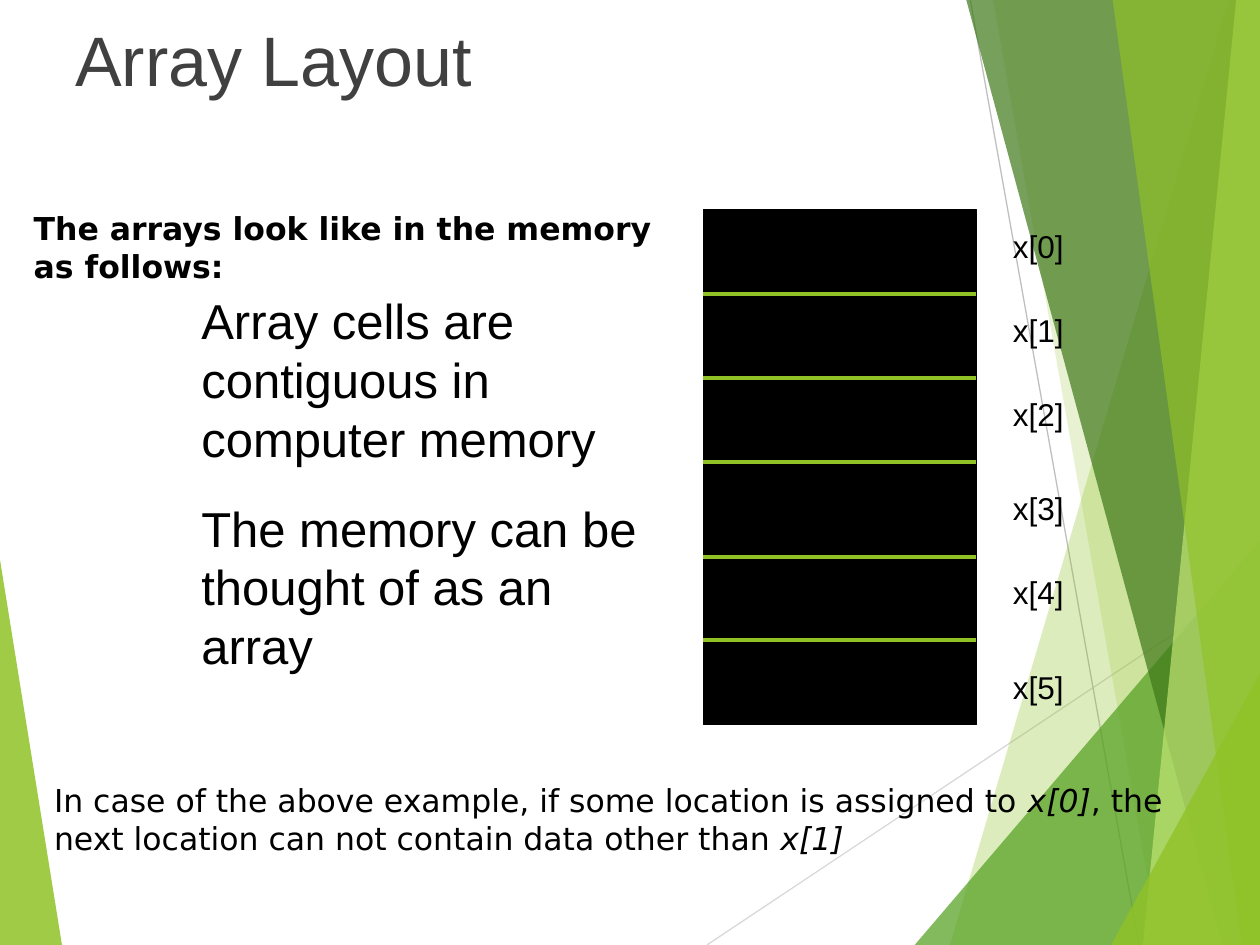
from lxml import etree
from pptx import Presentation
from pptx import util as u
from pptx.dml import color
from pptx.enum import shapes, text
from pptx.oxml import ns

WIDTH, HEIGHT = 25.4, 19.05
GREEN = "90C226"


def rgb(code):
    return color.RGBColor.from_string(code)


def add_run(paragraph, words, *, size=18, font="Arial", ink="000000", bold=False, italic=False):
    run = paragraph.add_run()
    run.text = words
    run.font.size, run.font.name = u.Pt(size), font
    run.font.bold, run.font.italic = bold, italic
    run.font.color.rgb = rgb(ink)


class Deck:
    """Hold the style and the current slide, and draw each kind of element."""

    def __init__(self):
        self.show = Presentation()
        self.show.slide_width, self.show.slide_height = u.Cm(WIDTH), u.Cm(HEIGHT)
        self.slide = self.show.slides.add_slide(self.show.slide_layouts[6])

    def facet(self, corners, fill, opacity):
        points = [(u.Cm(x), u.Cm(y)) for x, y in corners]
        builder = self.slide.shapes.build_freeform(*points[0])
        builder.add_line_segments(points[1:], close=True)
        facet = builder.convert_to_shape()
        facet.shadow.inherit = False
        facet.fill.solid()
        facet.fill.fore_color.rgb = rgb(fill)
        facet.line.fill.background()
        tint = next(facet.element.spPr.iter(ns.qn("a:srgbClr")))
        etree.SubElement(tint, ns.qn("a:alpha"), val=str(opacity * 1000))

    def line(self, x1, y1, x2, y2, ink, weight):
        line = self.slide.shapes.add_connector(
            shapes.MSO_CONNECTOR.STRAIGHT, u.Cm(x1), u.Cm(y1), u.Cm(x2), u.Cm(y2))
        line.line.color.rgb = rgb(ink)
        line.line.width = u.Pt(weight)
        etree.SubElement(line.element.spPr, ns.qn("a:effectLst"))

    def block(self, left, top, width, height, fill):
        block = self.slide.shapes.add_shape(
            shapes.MSO_SHAPE.RECTANGLE, u.Cm(left), u.Cm(top), u.Cm(width), u.Cm(height))
        block.shadow.inherit = False
        block.fill.solid()
        block.fill.fore_color.rgb = rgb(fill)
        block.line.color.rgb = rgb(fill)
        block.line.width = u.Pt(0.75)

    def text(self, left, top, width, height, paragraphs, *, middle=False, gap=0, **style):
        frame = self.slide.shapes.add_textbox(
            u.Cm(left), u.Cm(top), u.Cm(width), u.Cm(height)).text_frame
        frame.word_wrap = True
        frame.vertical_anchor = text.MSO_ANCHOR.MIDDLE if middle else text.MSO_ANCHOR.TOP
        for index, pieces in enumerate(paragraphs):
            paragraph = frame.add_paragraph() if index else frame.paragraphs[0]
            if index:
                paragraph.space_before = u.Pt(gap)
            for words, italic in pieces:
                add_run(paragraph, words, italic=italic, **style)


def draw_backdrop(deck):
    deck.facet([(0, 11.28), (1.25, HEIGHT), (0, HEIGHT)], GREEN, 85)
    deck.line(14.25, HEIGHT, WIDTH, 11.62, "D9D9D9", 0.75)
    deck.line(19.56, 0, 22.96, HEIGHT, "BFBFBF", 0.75)
    facets = [
        ((24.77, 0), (19.15, HEIGHT), GREEN, 30),
        ((20.02, 0), (23.37, HEIGHT), GREEN, 20),
        ((WIDTH, 10.9), (18.44, HEIGHT), "54A021", 72),
        ((19.48, 0), (24.64, HEIGHT), "3F7819", 70),
        ((24.92, 0), (23.04, HEIGHT), "C0E474", 70),
        ((22.43, 0), (25.04, HEIGHT), GREEN, 65),
        ((WIDTH, 13.59), (22.4, HEIGHT), GREEN, 80),
    ]
    for upper, lower, fill, opacity in facets:
        deck.facet([upper, lower, (WIDTH, HEIGHT), (WIDTH, upper[1])], fill, opacity)


def draw_memory(deck):
    left, top, width, height = 14.18, 4.23, 5.5, 10.37
    deck.block(left, top, width, height, "000000")
    for divider in (5.92, 7.62, 9.32, 11.22, 12.91):
        deck.line(left, divider, left + width, divider, GREEN, 2.25)
    for index, label_top in enumerate((4.45, 6.15, 7.83, 9.73, 11.43, 13.34)):
        deck.text(20.17, label_top, 2, 1.02, [[(f"x[{index}]", False)]])


def main():
    deck = Deck()
    draw_backdrop(deck)
    deck.text(1.27, 0.12, 22.86, 2.11, [[("Array Layout", False)]],
              middle=True, size=40, ink="404040")
    draw_memory(deck)
    deck.text(3.81, 5.74, 9.96, 8, [
        [("Array cells are contiguous in computer memory", False)],
        [("The memory can be thought of as an array", False)],
    ], gap=17.5, size=28)
    deck.text(0.43, 4.09, 13.34, 1.78,
              [[("The arrays look like in the memory as follows:", False)]],
              font="DejaVu Sans", bold=True)
    deck.text(0.84, 15.62, 23.27, 1.78, [[
        ("In case of the above example, if some location is assigned to ", False),
        ("x[0]", True),
        (", the next location can not contain data other than ", False),
        ("x[1]", True),
    ]], font="DejaVu Sans")
    deck.show.save("out.pptx")


if __name__ == "__main__":
    main()
